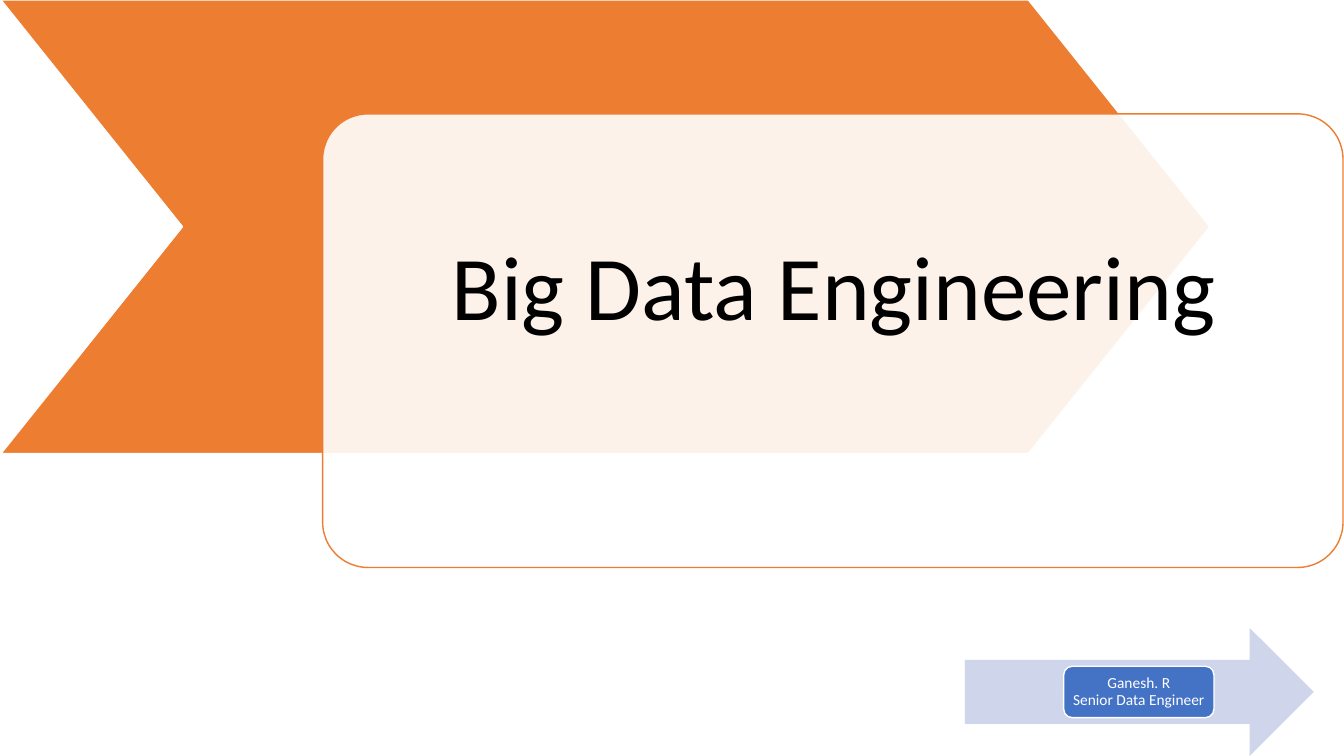
from pptx import Presentation
from pptx import util as u
from pptx.dml import color
from pptx.enum import shapes, text
from pptx.oxml import ns
from lxml import etree

ORANGE = "ED7D31"
BLUE = "4472C4"
PALE_BLUE = "CFD5EA"
WHITE = "FFFFFF"
BLACK = "000000"


def rgb(value):
    return color.RGBColor.from_string(value)


def place(shape, left, top, width, height):
    shape.left, shape.top = u.Inches(left), u.Inches(top)
    shape.width, shape.height = u.Inches(width), u.Inches(height)


def set_opacity(shape, percent):
    fill_color = shape.fill._xPr.find(ns.qn("a:solidFill"))[0]
    alpha = etree.SubElement(fill_color, ns.qn("a:alpha"))
    alpha.set("val", str(percent * 1000))


def add_panel(slide, kind, box, fill, line=None, adjustment=None, opacity=None):
    shape = slide.shapes.add_shape(kind, *map(u.Inches, box))
    shape.shadow.inherit = False
    shape.fill.solid()
    shape.fill.fore_color.rgb = rgb(fill)
    if opacity is not None:
        set_opacity(shape, opacity)
    if line:
        shape.line.color.rgb = rgb(line)
        shape.line.width = u.Pt(1)
    else:
        shape.line.fill.background()
    if adjustment is not None:
        shape.adjustments[0] = adjustment
    return shape


def write_text(shape, content, size, font_color, margin, bottom=None):
    frame = shape.text_frame
    frame.word_wrap = True
    frame.auto_size = text.MSO_AUTO_SIZE.NONE
    frame.vertical_anchor = text.MSO_ANCHOR.MIDDLE
    frame.margin_left = frame.margin_right = frame.margin_top = u.Inches(margin)
    frame.margin_bottom = u.Inches(margin if bottom is None else bottom)
    paragraph = frame.paragraphs[0]
    paragraph.text = content
    paragraph.alignment = text.PP_ALIGN.CENTER
    paragraph.line_spacing = 0.9
    paragraph.space_before = u.Pt(0)
    for run in paragraph.runs:
        run.font.name = "Calibri"
        run.font.size = u.Pt(size)
        run.font.color.rgb = rgb(font_color)


def add_title(slide, content):
    title = slide.shapes.title
    place(title, 3.34, 1.26, 9.86, 4.24)
    write_text(title, content, 65, BLACK, 0.51, bottom=1.49)
    title.element.getparent().append(title.element)


def main():
    presentation = Presentation()
    presentation.slide_width = u.Inches(13.33)
    presentation.slide_height = u.Inches(7.5)
    slide = presentation.slides.add_slide(presentation.slide_layouts[5])
    kinds = shapes.MSO_SHAPE

    add_panel(slide, kinds.CHEVRON, (0.01, 0, 11.99, 4.5), ORANGE,
              line=WHITE, adjustment=0.4)
    add_panel(slide, kinds.ROUNDED_RECTANGLE, (3.2, 1.13, 10.12, 4.5), WHITE,
              line=ORANGE, adjustment=0.1, opacity=90)
    add_title(slide, "Big Data Engineering")

    add_panel(slide, kinds.RIGHT_ARROW, (9.57, 6.23, 3.46, 1.27), PALE_BLUE)
    author = add_panel(slide, kinds.ROUNDED_RECTANGLE, (10.55, 6.61, 1.49, 0.51),
                       BLUE, line=WHITE)
    write_text(author, "Ganesh. R\vSenior Data Engineer", 11, WHITE, 0.05)

    presentation.save("out.pptx")


if __name__ == "__main__":
    main()
